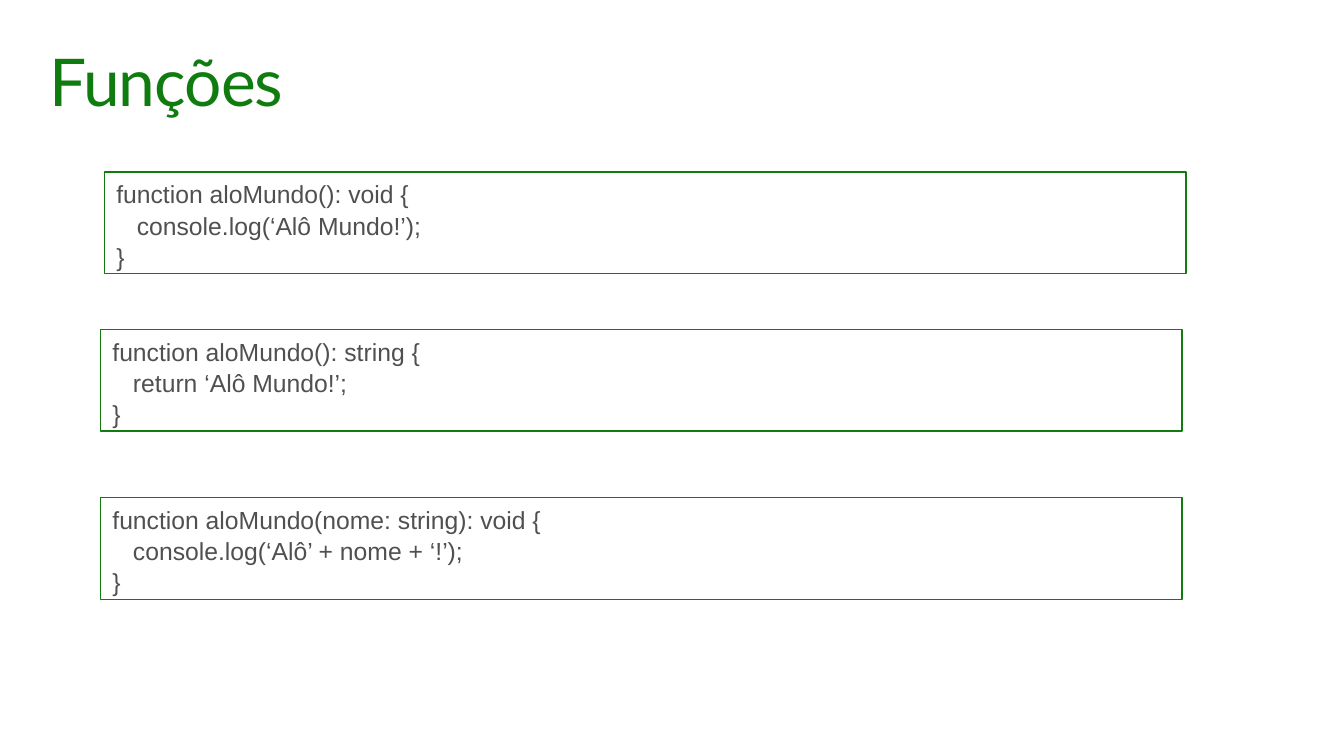
import dataclasses

import pptx
import pptx.dml.color
import pptx.enum.shapes
import pptx.enum.text
import pptx.util
from pptx.util import Cm


@dataclasses.dataclass(frozen=True)
class Theme:
    green: str = "107C10"
    gray: str = "505050"
    white: str = "FFFFFF"
    title_font: str = "Lato"
    code_font: str = "Arial"
    title_size: int = 48
    code_size: int = 18
    border_width: float = 0.85


THEME = Theme()

CODE_BOXES = [
    (2.69, 4.42, ["function aloMundo(): void {",
                  "   console.log(‘Alô Mundo!’);",
                  "}"]),
    (2.59, 8.46, ["function aloMundo(): string {",
                  "   return ‘Alô Mundo!’;",
                  "}"]),
    (2.59, 12.78, ["function aloMundo(nome: string): void {",
                   "   console.log(‘Alô’ + nome + ‘!’);",
                   "}"]),
]


def color(value):
    return pptx.dml.color.RGBColor.from_string(value)


def place(shape, left, top, width, height):
    shape.left, shape.top = Cm(left), Cm(top)
    shape.width, shape.height = Cm(width), Cm(height)


def format_frame(frame, horizontal, vertical):
    frame.word_wrap = True
    frame.auto_size = pptx.enum.text.MSO_AUTO_SIZE.NONE
    frame.vertical_anchor = pptx.enum.text.MSO_ANCHOR.TOP
    frame.margin_left = frame.margin_right = Cm(horizontal)
    frame.margin_top = frame.margin_bottom = Cm(vertical)


def add_run(paragraph, text, font_name, size, text_color):
    paragraph.alignment = pptx.enum.text.PP_ALIGN.LEFT
    run = paragraph.add_run()
    run.text = text
    run.font.name = font_name
    run.font.size = pptx.util.Pt(size)
    run.font.color.rgb = color(text_color)
    return run


def add_title(slide, text):
    title = slide.shapes.title
    place(title, 1.02, 1.02, 32.51, 2.54)
    format_frame(title.text_frame, 0.25, 0.25)
    paragraph = title.text_frame.paragraphs[0]
    paragraph.line_spacing = 0.9
    run = add_run(paragraph, text, THEME.title_font, THEME.title_size, THEME.green)
    run.font._element.set("spc", "-70")


def add_code_box(slide, left, top, lines):
    shape = slide.shapes.add_shape(
        pptx.enum.shapes.MSO_SHAPE.RECTANGLE, Cm(left), Cm(top), Cm(27.79), Cm(2.62))
    shape.shadow.inherit = False
    shape.fill.solid()
    shape.fill.fore_color.rgb = color(THEME.white)
    shape.line.color.rgb = color(THEME.green)
    shape.line.width = pptx.util.Pt(THEME.border_width)
    frame = shape.text_frame
    format_frame(frame, 0.3, 0.15)
    for index, line in enumerate(lines):
        paragraph = frame.add_paragraph() if index else frame.paragraphs[0]
        paragraph.line_spacing = 1.05
        add_run(paragraph, line, THEME.code_font, THEME.code_size, THEME.gray)


def main():
    presentation = pptx.Presentation()
    presentation.slide_width = Cm(34.54)
    presentation.slide_height = Cm(19.43)
    slide = presentation.slides.add_slide(presentation.slide_layouts[5])
    slide.background.fill.solid()
    slide.background.fill.fore_color.rgb = color(THEME.white)
    add_title(slide, "Funções")
    for left, top, lines in CODE_BOXES:
        add_code_box(slide, left, top, lines)
    presentation.save("out.pptx")


if __name__ == "__main__":
    main()
